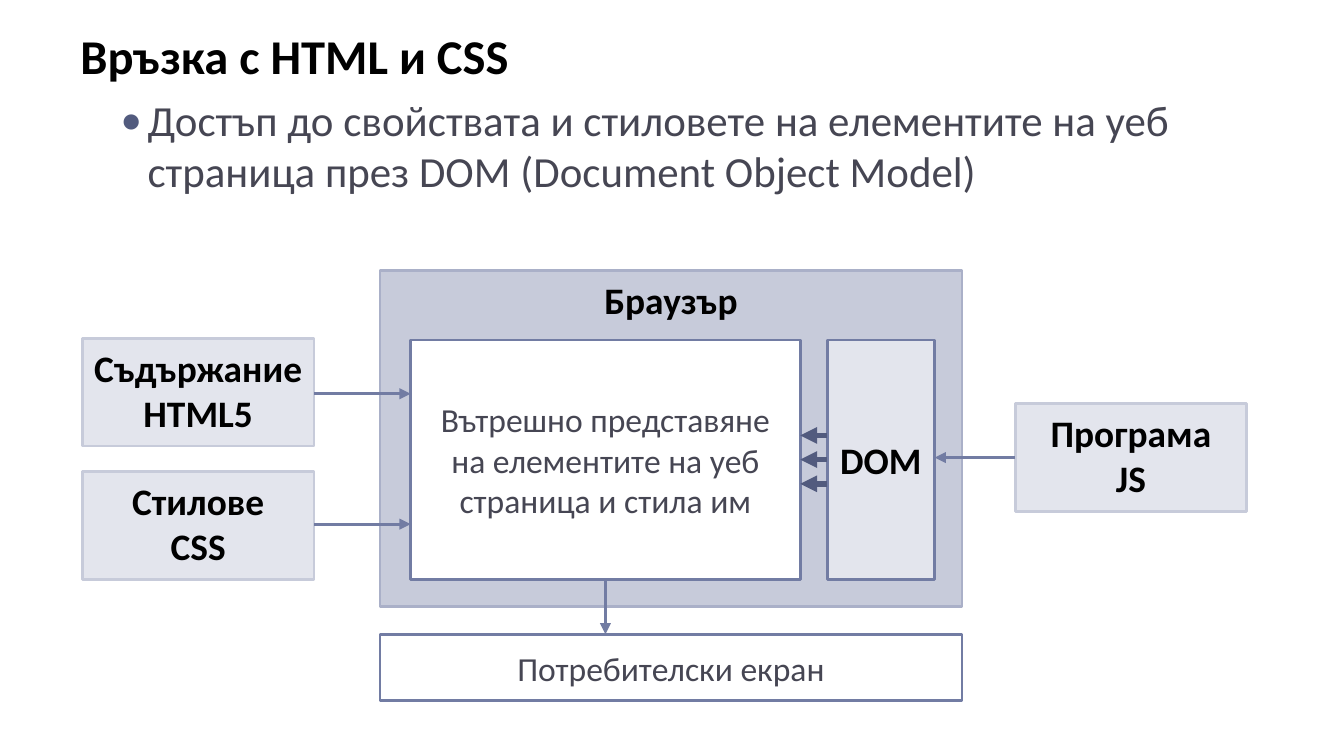
"""Builds a slide on how HTML, CSS and JS meet in the browser through the DOM."""
from lxml import etree
from pptx import Presentation
from pptx.dml.color import RGBColor
from pptx.enum.shapes import MSO_CONNECTOR, MSO_SHAPE
from pptx.enum.text import MSO_ANCHOR, PP_ALIGN
from pptx.oxml.ns import qn
from pptx.util import Inches, Pt

RECTANGLE = MSO_SHAPE.RECTANGLE
STRAIGHT = MSO_CONNECTOR.STRAIGHT
TOP, MIDDLE = MSO_ANCHOR.TOP, MSO_ANCHOR.MIDDLE
CENTER = PP_ALIGN.CENTER
FONT = "Calibri"
COLORS = {
    "black": "000000", "white": "FFFFFF", "body": "464653", "dark": "525B7E",
    "accent": "727CA3", "edge": "AAB0C8", "mid": "C7CBDA", "pale": "E3E5ED",
}
RGB = {name: RGBColor.from_string(value) for name, value in COLORS.items()}

deck = Presentation()
deck.slide_width = Inches(10)
deck.slide_height = deck.slide_width * 9 // 16
slide = deck.slides.add_slide(deck.slide_layouts[6])
CELL = deck.slide_width / 100


def style(paragraph, size, color, bold):
    for run in paragraph.runs:
        run.font.name, run.font.size, run.font.bold = FONT, Pt(size), bold
        run.font.color.rgb = RGB[color]


def cells(*counts):
    return [round(count * CELL) for count in counts]


heading = slide.shapes.add_textbox(*cells(5, 1.45, 93.3, 54.2)).text_frame
heading.word_wrap = True
heading.text = "Връзка с HTML и CSS\nДостъп до свойствата и стиловете на елементите на уеб страница през DOM (Document Object Model)"
title, point = heading.paragraphs
title.space_before, point.space_before = Pt(6), Pt(5)
style(title, 26, "black", True)
style(point, 23, "body", False)
bullet = point._p.get_or_add_pPr()
bullet.set("marL", str(Inches(0.5)))
bullet.set("indent", str(Inches(-0.2)))
bullet_color = etree.SubElement(bullet, qn("a:buClr"))
etree.SubElement(bullet_color, qn("a:srgbClr"), val=COLORS["dark"])
etree.SubElement(bullet, qn("a:buFont"), typeface=FONT)
etree.SubElement(bullet, qn("a:buChar"), char="•")

LEFT, BROWSER, PAGE, DOM, RIGHT = 6.13, 28.28, 30.55, 61.55, 75.53
SIDE_W, SIDE_H, BROWSER_W, PAGE_W, DOM_W = 17.24, 8, 43.3, 29, 8
INNER_TOP, INNER_H, SCREEN_TOP = 25.3, 17.8, 47.2
INNER_BOTTOM = INNER_TOP + INNER_H
STYLES_TOP, PROGRAM_TOP = INNER_BOTTOM - SIDE_H, 30.05

boxes = [
    ("Браузър", BROWSER, 20.13, BROWSER_W, 25, "mid", "edge", TOP, True),
    ("Съдържание\nHTML5", LEFT, 25.2, SIDE_W, SIDE_H, "pale", "mid", TOP, True),
    ("Стилове\nCSS", LEFT, STYLES_TOP, SIDE_W, SIDE_H, "pale", "mid", TOP, True),
    ("Програма\nJS", RIGHT, PROGRAM_TOP, SIDE_W, SIDE_H, "pale", "mid", TOP, True),
    ("Вътрешно представяне на елементите на уеб страница и стила им",
     PAGE, INNER_TOP, PAGE_W, INNER_H, "white", "accent", MIDDLE, False),
    ("DOM", DOM, INNER_TOP, DOM_W, INNER_H, "pale", "accent", MIDDLE, True),
    ("Потребителски екран", BROWSER, SCREEN_TOP, BROWSER_W, 4.94, "white", "accent", MIDDLE, False),
]
for label, left, top, width, height, fill, edge, anchor, bold in boxes:
    box = slide.shapes.add_shape(RECTANGLE, *cells(left, top, width, height))
    box.shadow.inherit = False
    box.fill.solid()
    box.fill.fore_color.rgb = RGB[fill]
    box.line.color.rgb, box.line.width = RGB[edge], Pt(1.5)
    caption = box.text_frame
    caption.word_wrap, caption.vertical_anchor = True, anchor
    if fill == "pale":
        caption.margin_left = caption.margin_right = 0
    caption.text = label
    for paragraph in caption.paragraphs:
        paragraph.alignment = CENTER
        style(paragraph, 20 if bold else 18, "black" if bold else "body", bold)

SIDE_END, PAGE_END, PAGE_MID = LEFT + SIDE_W, PAGE + PAGE_W, PAGE + PAGE_W / 2
PROGRAM_MID = PROGRAM_TOP + SIDE_H / 2
arrows = [
    (SIDE_END, 29.3, PAGE, 29.3, "accent", 1.5),
    (SIDE_END, 39, PAGE, 39, "accent", 1.5),
    (RIGHT, PROGRAM_MID, DOM + DOM_W, PROGRAM_MID, "accent", 1.5),
    (PAGE_MID, INNER_BOTTOM, PAGE_MID, SCREEN_TOP, "accent", 1.5),
]
arrows += [(DOM, 34.2 + step, PAGE_END, 34.2 + step, "dark", 3) for step in (-1.8, 0, 1.8)]
for start_x, start_y, end_x, end_y, color, weight in arrows:
    arrow = slide.shapes.add_connector(STRAIGHT, *cells(start_x, start_y, end_x, end_y))
    arrow.line.color.rgb, arrow.line.width = RGB[color], Pt(weight)
    etree.SubElement(arrow.line._get_or_add_ln(), qn("a:tailEnd"), type="triangle")
    etree.SubElement(arrow._element.spPr, qn("a:effectLst"))

deck.save("out.pptx")
